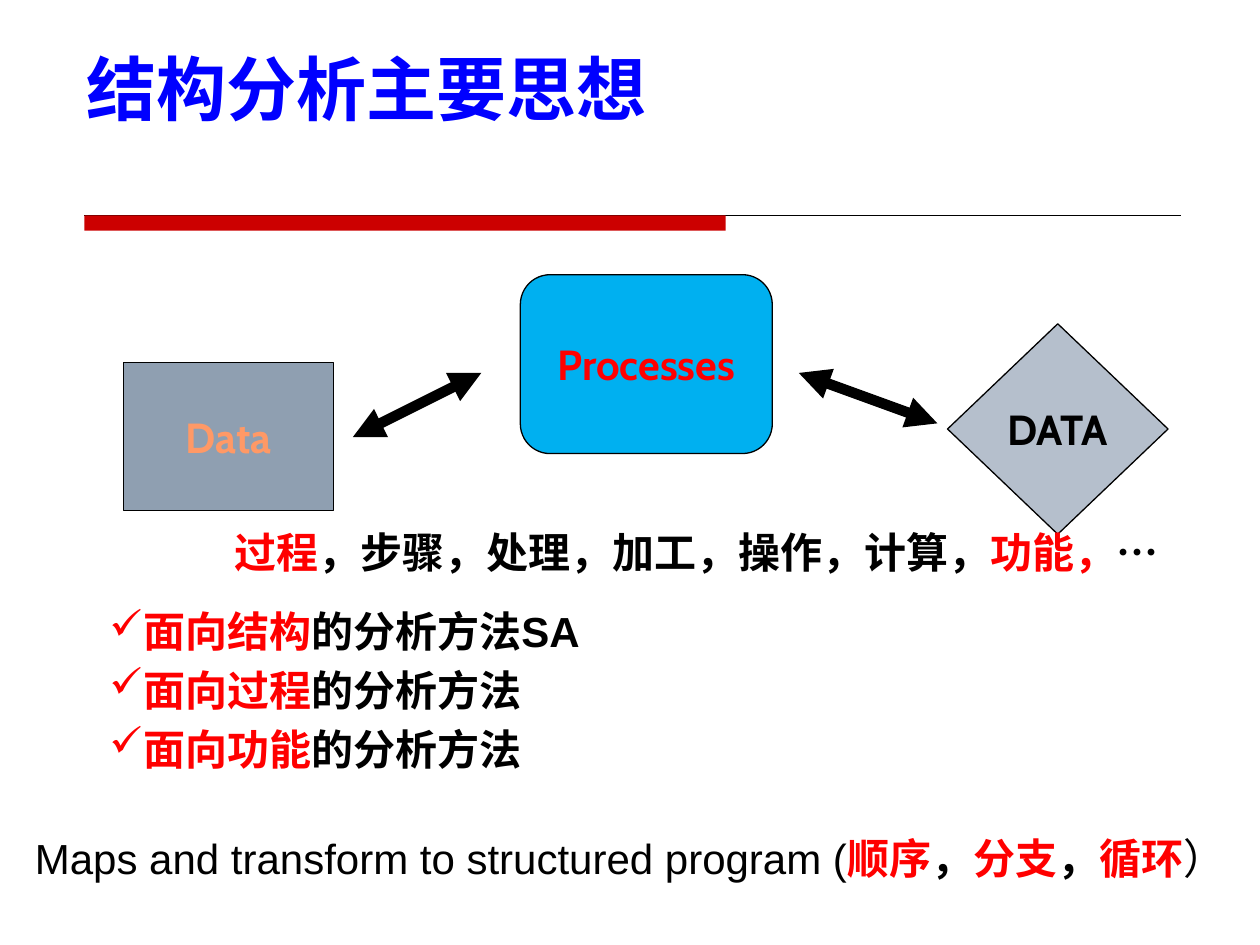
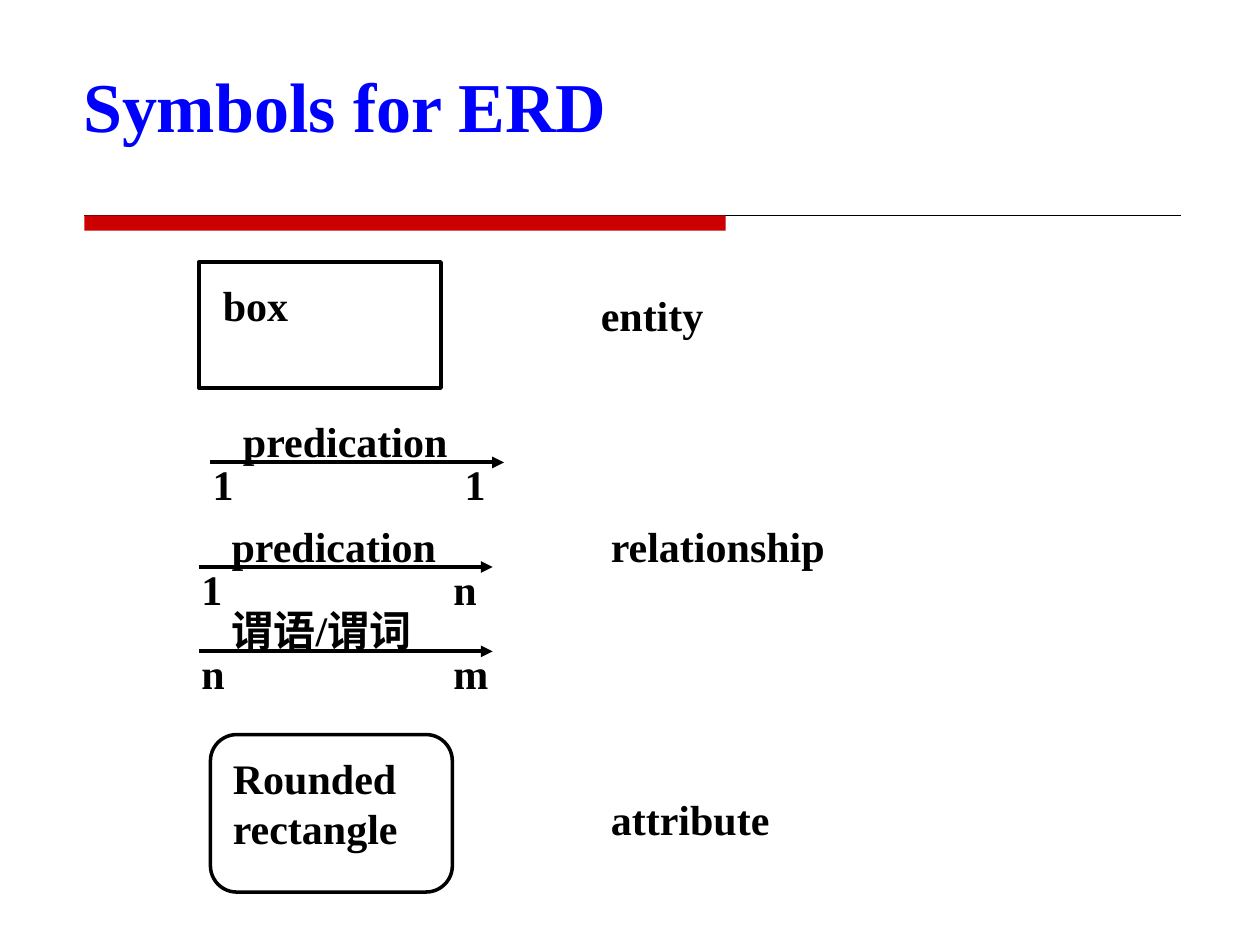
from pptx import Presentation
from pptx.dml.color import RGBColor
from pptx.enum.shapes import MSO_CONNECTOR, MSO_SHAPE
from pptx.enum.text import MSO_ANCHOR, PP_ALIGN
from pptx.oxml.ns import qn
from pptx.util import Inches, Pt
from lxml.etree import SubElement

SANS, SERIF, LABEL, CHINESE = "Arial", "Times New Roman", "Cabin", "Noto Sans CJK SC"
BLACK, WHITE, RED, BLUE = "000000", "FFFFFF", "FF0000", "0000FF"
BAND_RED = "CC0000"


def color(value):
    return RGBColor.from_string(value)


def write(frame, paragraphs, font=SERIF, size=24, ink=BLACK, bold=True,
          align=PP_ALIGN.LEFT, anchor=MSO_ANCHOR.TOP, wrap=True,
          line_spacing=None, space_before=0, bullet=None):
    """Fill a frame; each paragraph is a string or a list of (text, color[, bold]) runs."""
    frame.word_wrap = wrap
    frame.vertical_anchor = anchor
    if isinstance(paragraphs, str):
        paragraphs = [paragraphs]
    for index, runs in enumerate(paragraphs):
        paragraph = frame.add_paragraph() if index else frame.paragraphs[0]
        paragraph.alignment = align
        paragraph.space_before = Pt(space_before)
        if line_spacing:
            paragraph.line_spacing = line_spacing
        if bullet:
            add_bullet(paragraph, bullet)
        for text, run_ink, *weight in [(runs, ink)] if isinstance(runs, str) else runs:
            run = paragraph.add_run()
            run.text = text
            run.font.name = font
            run.font.size = Pt(size)
            run.font.bold = weight[0] if weight else bold
            run.font.color.rgb = color(run_ink)
            SubElement(run.font._element, qn("a:ea"), typeface=CHINESE)


def add_bullet(paragraph, character):
    properties = paragraph._p.get_or_add_pPr()
    properties.set("marL", str(Inches(0.27)))
    properties.set("indent", str(-Inches(0.27)))
    bullet_color = SubElement(properties, qn("a:buClr"))
    SubElement(bullet_color, qn("a:srgbClr"), val=RED)
    SubElement(properties, qn("a:buChar"), char=character)


class Deck:
    def __init__(self):
        self.presentation = Presentation()
        self.presentation.slide_width = Inches(10)
        self.presentation.slide_height = Inches(7.5)
        self.slide = None

    def add_slide(self, title, box, font, anchor):
        """Start a slide with its title and the red band below it."""
        self.slide = self.presentation.slides.add_slide(self.presentation.slide_layouts[5])
        self.line((0.67, 1.71), (9.37, 1.71), width=0.75)
        self.shape(MSO_SHAPE.RECTANGLE, (0.67, 1.71, 5.09, 0.12), fill=BAND_RED, line=None)
        placeholder = self.slide.shapes.title
        placeholder.left, placeholder.top, placeholder.width, placeholder.height = map(Inches, box)
        write(placeholder.text_frame, title, font=font, size=40, ink=BLUE, anchor=anchor)

    def shape(self, kind, box, fill=None, line=BLACK, line_width=0.75, text=None, ink=BLACK):
        shape = self.slide.shapes.add_shape(kind, *map(Inches, box))
        shape.shadow.inherit = False
        if fill:
            shape.fill.solid()
            shape.fill.fore_color.rgb = color(fill)
        else:
            shape.fill.background()
        if line:
            shape.line.color.rgb = color(line)
            shape.line.width = Pt(line_width)
        else:
            shape.line.fill.background()
        if text:
            write(shape.text_frame, text, font=LABEL, ink=ink, wrap=False,
                  align=PP_ALIGN.CENTER, anchor=MSO_ANCHOR.MIDDLE)

    def text(self, box, paragraphs, **style):
        text_box = self.slide.shapes.add_textbox(*map(Inches, box))
        write(text_box.text_frame, paragraphs, **style)

    def line(self, start, end, width, arrowheads=()):
        connector = self.slide.shapes.add_connector(
            MSO_CONNECTOR.STRAIGHT, *map(Inches, start + end))
        connector.line.color.rgb = color(BLACK)
        connector.line.width = Pt(width)
        outline = connector.line._get_or_add_ln()
        for arrowhead in arrowheads:
            SubElement(outline, qn(f"a:{arrowhead}"), type="triangle")
        SubElement(connector._element.spPr, qn("a:effectLst"))

    def relationship(self, left, top, predicate, source, target):
        """Draw an arrow with its predicate above and a cardinality at each end."""
        self.line((left, top), (left + 2.33, top), width=2.25, arrowheads=["tailEnd"])
        self.text((left + 0.16, top - 0.42, 2.25, 0.5), predicate)
        for offset, cardinality in ((-0.08, source), (1.92, target)):
            self.text((left + offset, top - 0.08, 0.5, 0.5), cardinality)


def build_structured_analysis(deck):
    deck.add_slide("结构分析主要思想", (0.59, -0.09, 8.25, 1.57), CHINESE, MSO_ANCHOR.MIDDLE)
    for kind, box, fill, text, ink in (
        (MSO_SHAPE.ROUNDED_RECTANGLE, (4.13, 2.18, 2, 1.42), "00B0F0", "Processes", RED),
        (MSO_SHAPE.RECTANGLE, (0.98, 2.88, 1.67, 1.17), "8F9FB1", "Data", "FF9966"),
        (MSO_SHAPE.DIAMOND, (7.52, 2.57, 1.75, 1.67), "B5BFCC", "DATA", BLACK),
    ):
        deck.shape(kind, box, fill=fill, text=text, ink=ink)
    for start, end in (((2.8, 3.47), (3.82, 2.96)), ((7.44, 3.36), (6.34, 2.96))):
        deck.line(start, end, width=6, arrowheads=["headEnd", "tailEnd"])

    methods = [[(focus, RED), (rest, BLACK)] for focus, rest in (
        ("面向结构", "的分析方法SA"), ("面向过程", "的分析方法"), ("面向功能", "的分析方法"))]
    deck.text((0.77, 4.76, 4.63, 1.72), methods, font=SANS, space_before=4.8, bullet="✓")
    program = [("Maps and transform to structured program (", BLACK, False),
               ("顺序", RED), ("，", BLACK), ("分支", RED), ("，", BLACK),
               ("循环", RED), ("）", BLACK, False)]
    deck.text((0.13, 6.6, 9.74, 0.47), [program], font=SANS, line_spacing=0.9,
              align=PP_ALIGN.CENTER, wrap=False)
    synonyms = [("过程", RED), ("，步骤，处理，加工，操作，计算，", BLACK),
                ("功能，", RED), ("…", BLACK)]
    deck.text((1.72, 4.13, 7.61, 0.51), [synonyms], align=PP_ALIGN.CENTER, wrap=False)


def build_erd_symbols(deck):
    deck.add_slide("Symbols for ERD", (0.56, 0.45, 9.4, 0.77), SERIF, MSO_ANCHOR.TOP)
    deck.shape(MSO_SHAPE.ROUNDED_RECTANGLE, (1.67, 5.83, 1.92, 1.25), line_width=2)
    deck.text((1.75, 5.92, 1.67, 0.9), "Rounded rectangle")
    deck.shape(MSO_SHAPE.RECTANGLE, (1.58, 2.08, 1.92, 1), fill=WHITE, line_width=2)
    deck.text((1.67, 2.17, 1.75, 0.5), "box")
    deck.relationship(1.67, 3.67, "predication", "1", "1")
    deck.relationship(1.58, 4.5, "predication", "1", "n")
    deck.relationship(1.58, 5.17, "谓语/谓词", "n", "m")
    for left, top, meaning in ((4.67, 2.25, "entity"), (4.75, 4.08, "relationship"),
                               (4.75, 6.25, "attribute")):
        deck.text((left, top, 3.17, 0.5), meaning)


def main():
    deck = Deck()
    build_structured_analysis(deck)
    build_erd_symbols(deck)
    deck.presentation.save("out.pptx")


if __name__ == "__main__":
    main()
